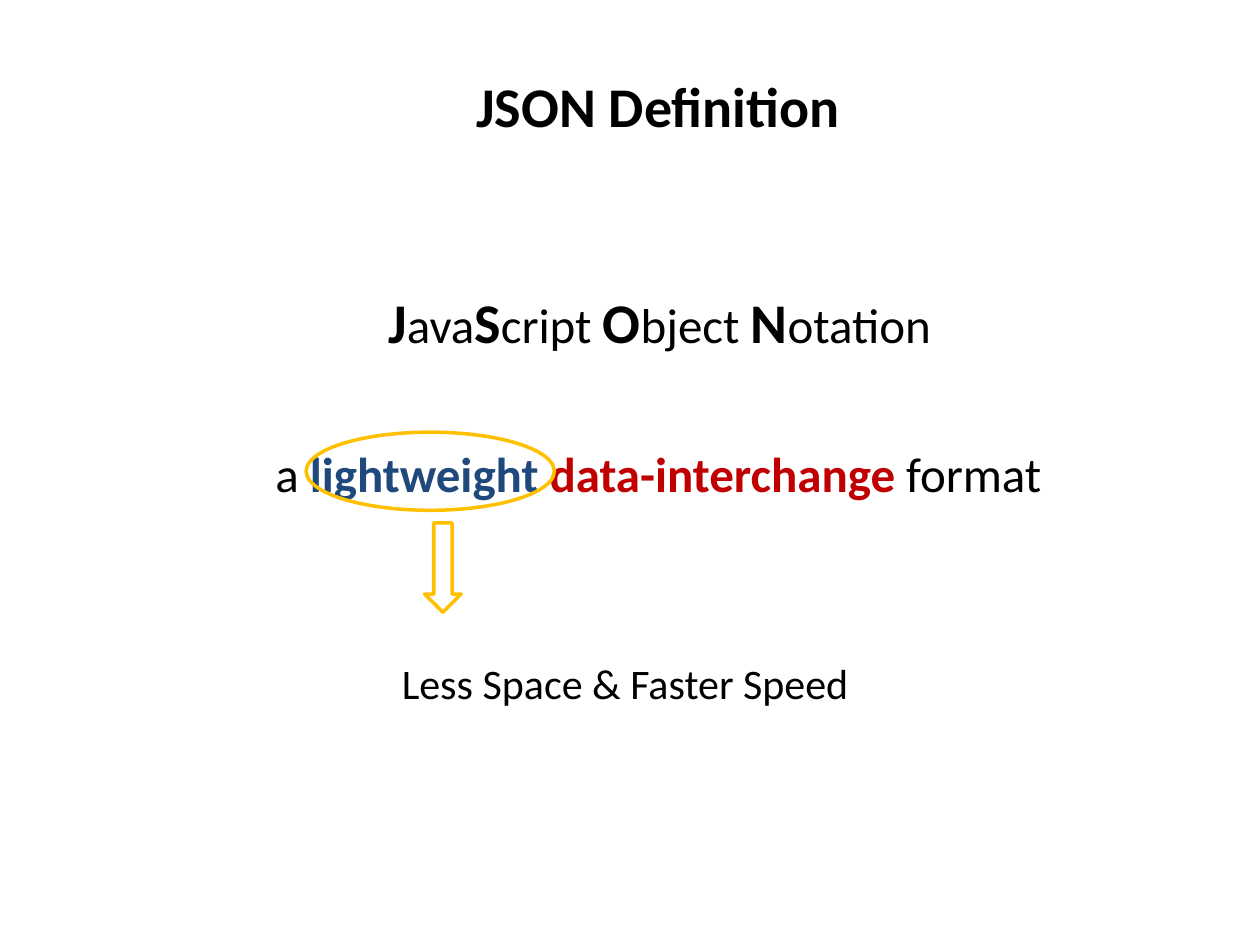
from dataclasses import dataclass

from pptx import Presentation
from pptx.dml.color import RGBColor
from pptx.enum.shapes import MSO_SHAPE
from pptx.enum.text import MSO_ANCHOR, MSO_AUTO_SIZE, PP_ALIGN
from pptx.shapes.autoshape import Shape
from pptx.slide import Slide
from pptx.util import Inches, Pt


@dataclass(frozen=True)
class Theme:
    """Font, colours, type sizes and line width of the slide."""

    font: str = "Calibri"
    black: str = "000000"
    blue: str = "1F497D"
    red: str = "C00000"
    gold: str = "FFC000"
    heading: int = 32
    body: int = 28
    note: int = 24
    outline: int = 2


THEME = Theme()


@dataclass(frozen=True)
class Box:
    """Position and size in inches."""

    left: float
    top: float
    width: float
    height: float


@dataclass(frozen=True)
class TextRun:
    """A stretch of text in one format."""

    text: str
    size: int = THEME.body
    bold: bool = False
    color: str = THEME.black


@dataclass(frozen=True)
class TextLine:
    """A one-paragraph text box."""

    box: Box
    runs: list[TextRun]
    alignment: PP_ALIGN = PP_ALIGN.CENTER


@dataclass(frozen=True)
class Marker:
    """An outlined preset shape."""

    kind: MSO_SHAPE
    box: Box


def initial(letter: str) -> TextRun:
    """Return a large bold letter of the acronym."""
    return TextRun(letter, THEME.heading, True)


TITLE = TextLine(
    Box(3.68, 0.52, 3.19, 0.64),
    [TextRun("JSON Definition", THEME.heading, True)],
    PP_ALIGN.LEFT,
)
LINES = [
    TextLine(
        Box(1.86, 2.23, 6.75, 0.64),
        [
            initial("J"), TextRun("ava"),
            initial("S"), TextRun("cript "),
            initial("O"), TextRun("bject "),
            initial("N"), TextRun("otation"),
        ],
    ),
    TextLine(
        Box(1.84, 3.47, 6.77, 0.57),
        [
            TextRun("a "),
            TextRun("lightweight ", bold=True, color=THEME.blue),
            TextRun("data-interchange", bold=True, color=THEME.red),
            TextRun(" format"),
        ],
    ),
    TextLine(
        Box(3.09, 5.17, 3.78, 0.5),
        [TextRun("Less Space & Faster Speed", THEME.note)],
        PP_ALIGN.LEFT,
    ),
]
MARKERS = [
    Marker(MSO_SHAPE.OVAL, Box(2.43, 3.43, 1.97, 0.62)),
    Marker(MSO_SHAPE.DOWN_ARROW, Box(3.37, 4.15, 0.29, 0.71)),
]


def place(shape: Shape, box: Box) -> None:
    """Move and size a shape."""
    shape.left, shape.top = Inches(box.left), Inches(box.top)
    shape.width, shape.height = Inches(box.width), Inches(box.height)


def write_line(shape: Shape, line: TextLine) -> None:
    """Place a text shape and fill it run by run."""
    place(shape, line.box)
    frame = shape.text_frame
    frame.word_wrap = True
    frame.auto_size = MSO_AUTO_SIZE.SHAPE_TO_FIT_TEXT
    frame.vertical_anchor = MSO_ANCHOR.TOP
    paragraph = frame.paragraphs[0]
    paragraph.alignment = line.alignment
    for text_run in line.runs:
        run = paragraph.add_run()
        run.text = text_run.text
        run.font.name = THEME.font
        run.font.size = Pt(text_run.size)
        run.font.bold = text_run.bold
        run.font.color.rgb = RGBColor.from_string(text_run.color)


def add_marker(slide: Slide, marker: Marker) -> None:
    """Draw an unfilled shape with a gold outline."""
    shape = slide.shapes.add_shape(marker.kind, 0, 0, 0, 0)
    place(shape, marker.box)
    shape.shadow.inherit = False
    shape.fill.background()
    shape.line.color.rgb = RGBColor.from_string(THEME.gold)
    shape.line.width = Pt(THEME.outline)


def main() -> None:
    """Build and save the presentation."""
    presentation = Presentation()
    presentation.slide_width, presentation.slide_height = Inches(10), Inches(7.5)
    slide = presentation.slides.add_slide(presentation.slide_layouts[5])
    write_line(slide.shapes.title, TITLE)
    for line in LINES:
        write_line(slide.shapes.add_textbox(0, 0, 0, 0), line)
    for marker in MARKERS:
        add_marker(slide, marker)
    presentation.save("out.pptx")


main()
